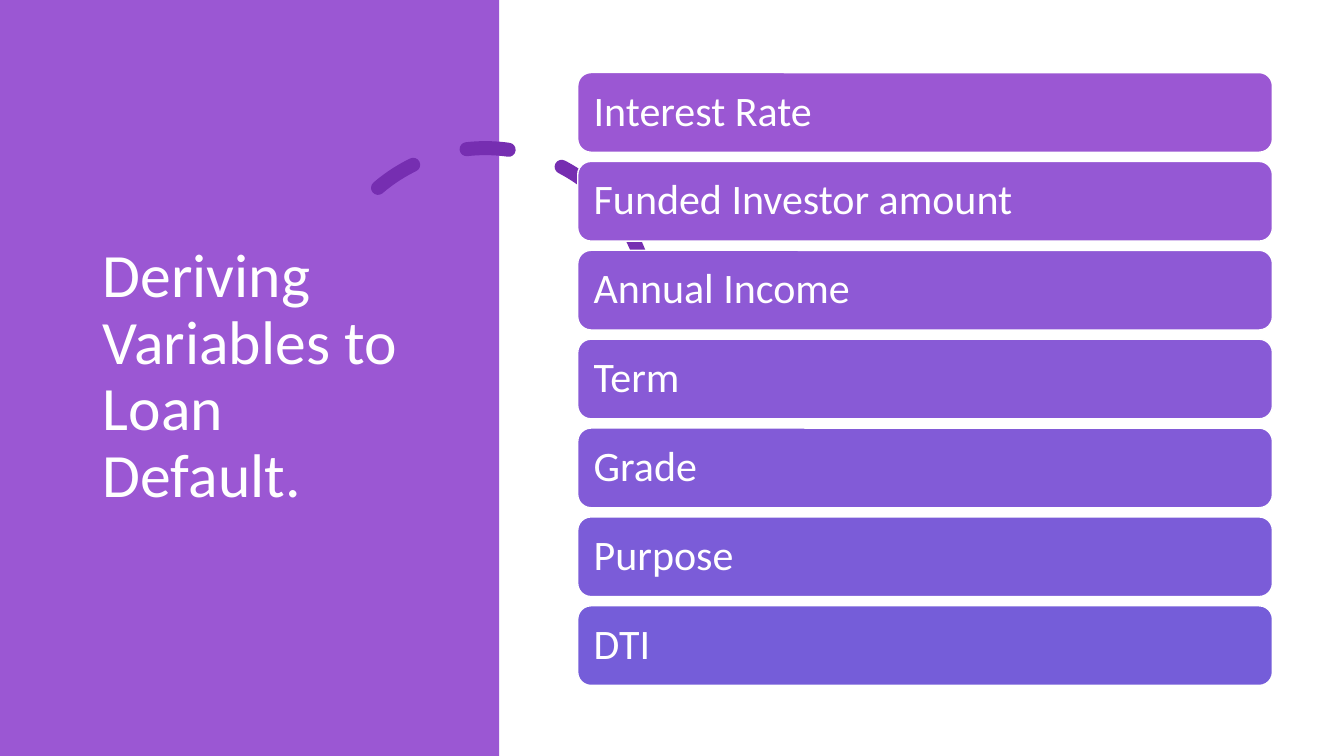
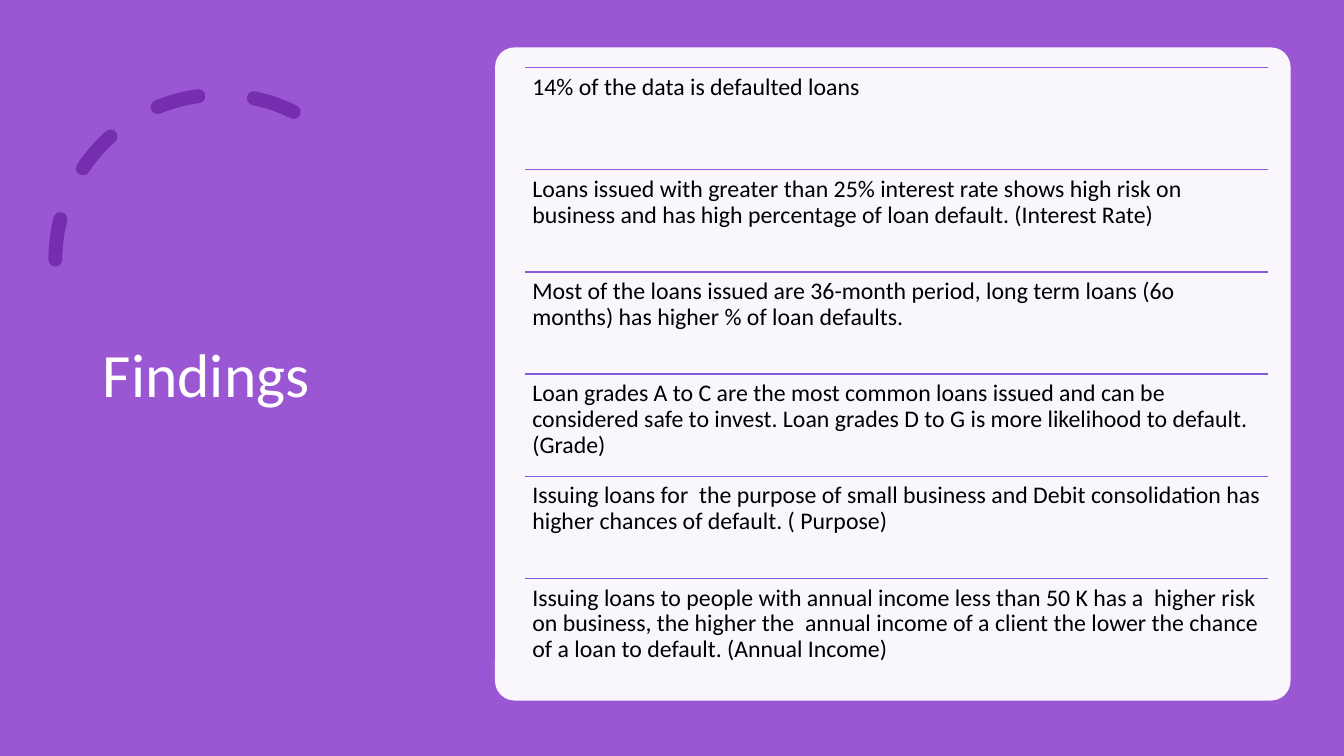
from lxml import etree
from pptx import Presentation
from pptx import util as u
from pptx.dml.color import RGBColor
from pptx.enum import dml, shapes, text
from pptx.oxml.ns import qn

PURPLE, INDIGO, DARK, WHITE, BLACK = "9B57D3", "755DD9", "762EB1", "FFFFFF", "000000"
FONT = "Calibri"
MIDDLE, TOP = text.MSO_ANCHOR.MIDDLE, text.MSO_ANCHOR.TOP


def rgb(start, end=None, share=0):
    a, b = RGBColor.from_string(start), RGBColor.from_string(end or start)
    return RGBColor(*(round(x + (y - x) * share) for x, y in zip(a, b)))


def write(tf, words, size, colour, anchor, inset_x, inset_y):
    tf.word_wrap = True
    tf.auto_size = text.MSO_AUTO_SIZE.NONE
    tf.vertical_anchor = anchor
    tf.margin_left = tf.margin_right = u.Inches(inset_x)
    tf.margin_top = tf.margin_bottom = u.Inches(inset_y)
    p = tf.paragraphs[0]
    p.text = words
    p.alignment = text.PP_ALIGN.LEFT
    p.line_spacing = 0.9
    p.font.name, p.font.size = FONT, u.Pt(size)
    p.font.color.rgb = rgb(colour)


variables = ["Interest Rate", "Funded Investor amount", "Annual Income", "Term",
             "Grade", "Purpose", "DTI"]
findings = [
    "14% of the data is defaulted loans",
    "Loans issued with greater than 25% interest rate shows high risk on business "
    "and has high percentage of loan default. (Interest Rate)",
    "Most of the loans issued are 36-month period, long term loans (6o months) "
    "has higher % of loan defaults.",
    "Loan grades A to C are the most common loans issued and can be considered safe "
    "to invest. Loan grades D to G is more likelihood to default. (Grade)",
    "Issuing loans for  the purpose of small business and Debit consolidation has "
    "higher chances of default. ( Purpose)",
    "Issuing loans to people with annual income less than 50 K has a  higher risk on "
    "business, the higher the  annual income of a client the lower the chance of a "
    "loan to default. (Annual Income)",
]

prs = Presentation()
prs.slide_width, prs.slide_height = u.Inches(13.33), u.Inches(7.5)

pages = [
    ("Deriving Variables to Loan Default.", WHITE, 3.18, 1.47, -14.2, False),
    ("Findings", PURPLE, 0.55, 0.94, 0, True),
]
for heading, backdrop, arc_x, arc_y, turn, flipped in pages:
    s = prs.slides.add_slide(prs.slide_layouts[5])
    s.background.fill.solid()
    s.background.fill.fore_color.rgb = rgb(backdrop)

    if backdrop == WHITE:
        band = s.shapes.add_shape(shapes.MSO_SHAPE.RECTANGLE, 0, 0,
                                  u.Inches(4.95), prs.slide_height)
        band.shadow.inherit = False
        band.fill.solid()
        band.fill.fore_color.rgb = rgb(PURPLE)
        band.line.fill.background()

    arc = s.shapes.add_shape(shapes.MSO_SHAPE.ARC, u.Inches(arc_x), u.Inches(arc_y),
                             u.Inches(3.27), u.Inches(3.27))
    arc.shadow.inherit = False
    arc.adjustments[0], arc.adjustments[1] = 146.13, 0
    arc.rotation = turn
    arc.fill.background()
    arc.line.color.rgb = rgb(DARK)
    arc.line.width = u.Pt(10)
    arc.line.dash_style = dml.MSO_LINE.DASH
    arc.element.spPr.find(qn("a:ln")).set("cap", "rnd")
    if flipped:
        arc.element.spPr.find(qn("a:xfrm")).set("flipH", "1")

    title = s.shapes.title
    title.left, title.top = u.Inches(0.92), u.Inches(0.7)
    title.width, title.height = u.Inches(3.23), u.Inches(6.09)
    write(title.text_frame, heading, 44, WHITE, MIDDLE, 0.1, 0.05)
    title.element.getparent().append(title.element)

variables_slide, findings_slide = prs.slides

pitch = (6.01 - 0.72) / (len(variables) - 1)
for i, words in enumerate(variables):
    bar = variables_slide.shapes.add_shape(
        shapes.MSO_SHAPE.ROUNDED_RECTANGLE, u.Inches(5.73), u.Inches(0.72 + i * pitch),
        u.Inches(6.89), u.Inches(0.79))
    bar.shadow.inherit = False
    bar.fill.solid()
    bar.fill.fore_color.rgb = rgb(PURPLE, INDIGO, i / (len(variables) - 1))
    bar.line.color.rgb = rgb(WHITE)
    bar.line.width = u.Pt(1)
    write(bar.text_frame, words, 30, WHITE, MIDDLE, 0.12, 0.12)

panel = findings_slide.shapes.add_shape(
    shapes.MSO_SHAPE.ROUNDED_RECTANGLE, u.Inches(4.91), u.Inches(0.47),
    u.Inches(7.89), u.Inches(6.48))
panel.shadow.inherit = False
panel.adjustments[0] = 0.03
panel.fill.solid()
panel.fill.fore_color.rgb = rgb(WHITE)
panel.line.fill.background()
tint = panel.element.spPr.find(qn("a:solidFill"))[0]
etree.SubElement(tint, qn("a:alpha")).set("val", "95000")

left, width = u.Inches(5.21), u.Inches(7.37)
pitch = (5.74 - 0.67) / (len(findings) - 1)
for i, words in enumerate(findings):
    y = u.Inches(0.67 + i * pitch)
    rule = findings_slide.shapes.add_connector(
        shapes.MSO_CONNECTOR.STRAIGHT, left, y, left + width, y)
    rule.line.color.rgb = rgb(PURPLE, INDIGO, i / (len(findings) - 1))
    rule.line.width = u.Pt(1)
    etree.SubElement(rule.element.spPr, qn("a:effectLst"))
    box = findings_slide.shapes.add_textbox(left, y, width, u.Inches(pitch))
    write(box.text_frame, words, 17, BLACK, TOP, 0.07, 0.07)

prs.save("out.pptx")
